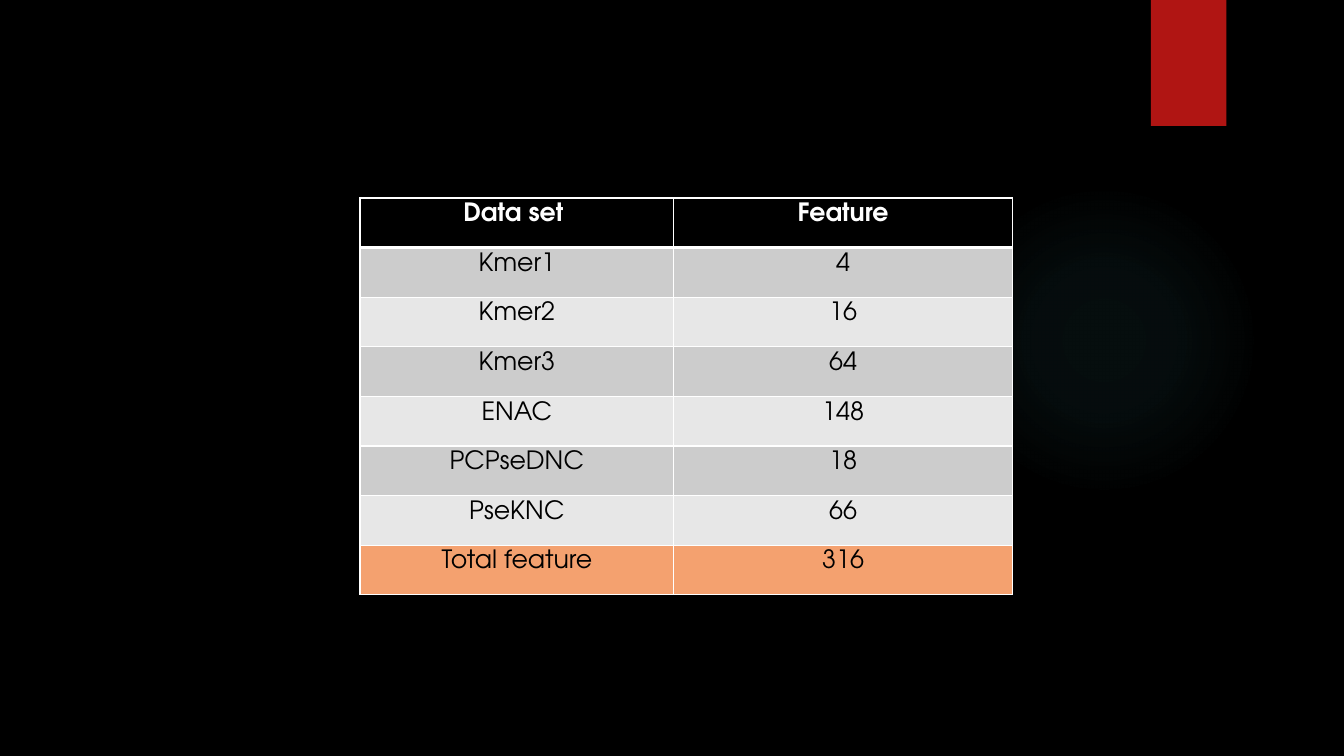
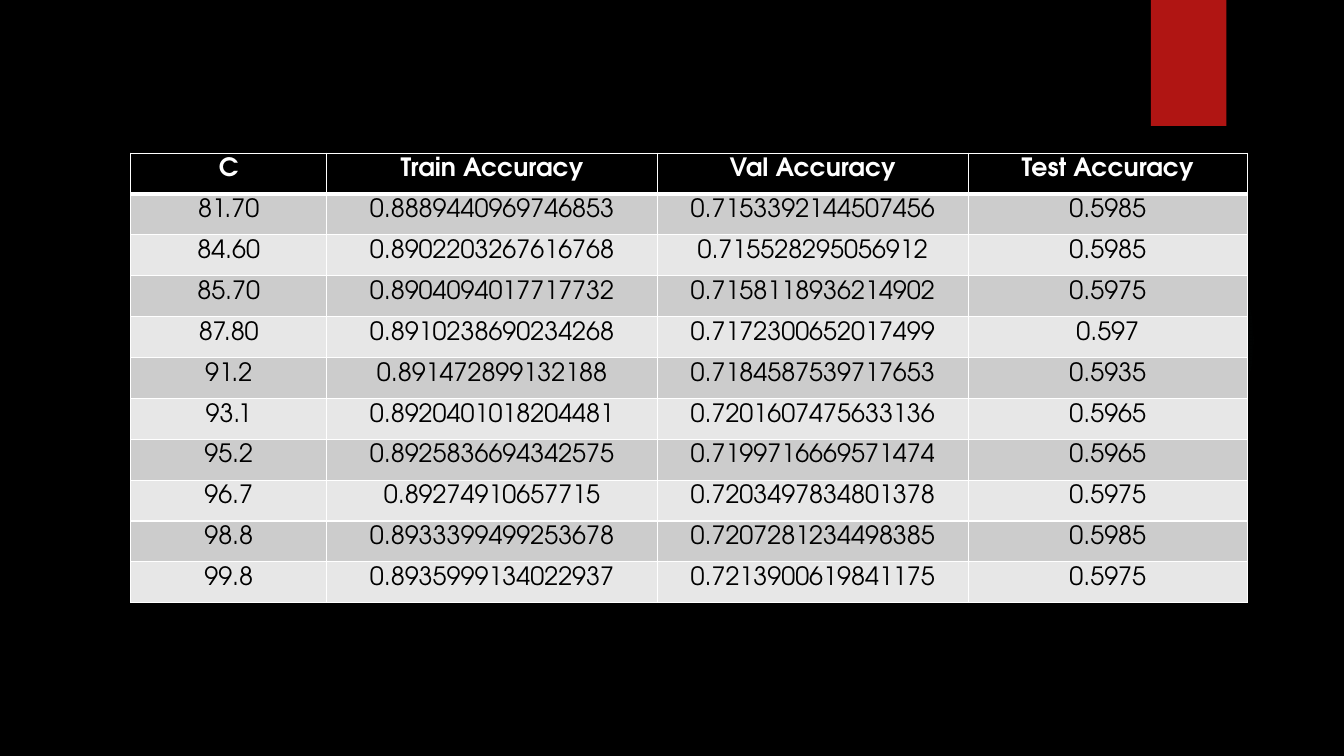
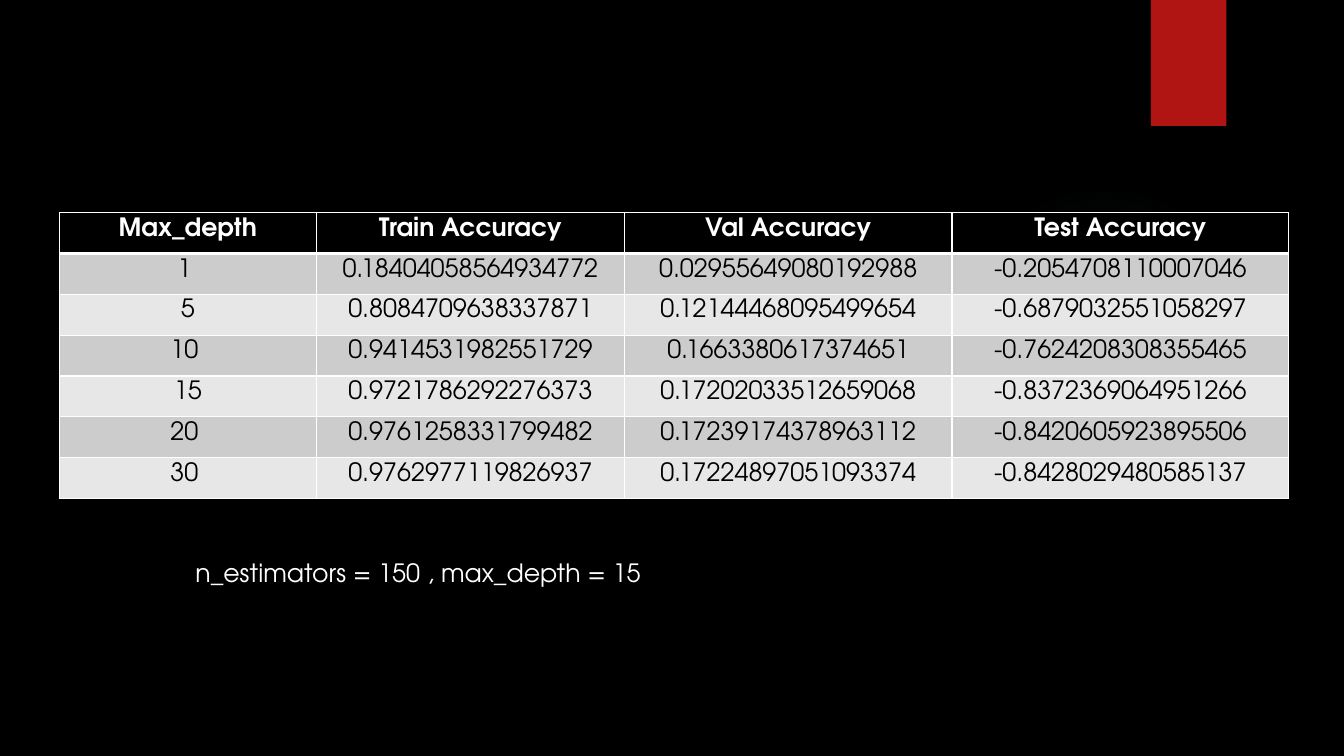
from lxml import etree
from pptx import Presentation
from pptx.dml.color import RGBColor
from pptx.enum.shapes import MSO_SHAPE
from pptx.enum.text import PP_ALIGN
from pptx.oxml import parse_xml
from pptx.oxml.ns import nsdecls, qn
from pptx.util import Pt

RECTANGLE, OVAL = MSO_SHAPE.RECTANGLE, MSO_SHAPE.OVAL
CENTER = PP_ALIGN.CENTER

FONT, TEXT_SIZE = "TeX Gyre Adventor", 18
THIN, THICK = 1, 3
CELL_MARGIN = 3.6
COLORS = {
    "black": "000000",
    "white": "FFFFFF",
    "red": "B01513",
    "teal": "50B9C1",
    "dark_band": "CCCCCC",
    "light_band": "E7E7E7",
    "total": "F4A16F",
}
GLOW_STOPS = [(0, 7), (36, 6), (69, 0)]  # position and opacity, in percent

TABLES = [
    {
        "left": 257.2, "top": 141.4, "row_height": 35.46, "columns": [224, 242],
        "header": ["Data set ", "Feature"],
        "rows": [
            ("Kmer1", "4"),
            ("Kmer2", "16"),
            ("Kmer3", "64"),
            ("ENAC", "148"),
            ("PCPseDNC", "18"),
            ("PseKNC", "66"),
        ],
        "total": ("Total feature", "316"),
    },
    {
        "left": 93.4, "top": 109.4, "row_height": 29.2, "columns": [140, 236.2, 222, 199.5],
        "header": ["C", "Train Accuracy", "Val Accuracy", "Test Accuracy"],
        "rows": [
            ("81.70", "0.8889440969746853", "0.7153392144507456", "0.5985"),
            ("84.60", "0.8902203267616768", "0.715528295056912", "0.5985"),
            ("85.70", "0.8904094017717732", "0.7158118936214902", "0.5975"),
            ("87.80", "0.8910238690234268", "0.7172300652017499", "0.597"),
            ("91.2", "0.891472899132188", "0.7184587539717653", "0.5935"),
            ("93.1", "0.8920401018204481", "0.7201607475633136", "0.5965"),
            ("95.2", "0.8925836694342575", "0.7199716669571474", "0.5965"),
            ("96.7", "0.89274910657715", "0.7203497834801378", "0.5975"),
            ("98.8", "0.8933399499253678", "0.7207281234498385", "0.5985"),
            ("99.8", "0.8935999134022937", "0.7213900619841175", "0.5975"),
        ],
    },
    {
        "left": 42.4, "top": 151.8, "row_height": 29.2, "columns": [183.6, 220, 234, 240.5],
        "header": ["Max_depth", "Train Accuracy", "Val Accuracy", "Test Accuracy"],
        "rows": [
            ("1 ", "0.18404058564934772", "0.02955649080192988", "-0.2054708110007046"),
            ("5", "0.8084709638337871", "0.12144468095499654", "-0.6879032551058297"),
            ("10 ", "0.9414531982551729", "0.1663380617374651", "-0.7624208308355465"),
            ("15", "0.9721786292276373", "0.17202033512659068", "-0.8372369064951266"),
            ("20 ", "0.9761258331799482", "0.17239174378963112", "-0.8420605923895506"),
            ("30 ", "0.9762977119826937", "0.17224897051093374", "-0.8428029480585137"),
        ],
        "note": "n_estimators = 150 , max_depth = 15",
    },
]


def paint(fill, color):
    fill.solid()
    fill.fore_color.rgb = RGBColor.from_string(COLORS[color])


def style_text(paragraph, color, bold=False):
    for span in paragraph.runs:
        span.font.name = FONT
        span.font.size = Pt(TEXT_SIZE)
        span.font.bold = bold
        span.font.color.rgb = RGBColor.from_string(COLORS[color])


def add_plain_shape(page, kind, left, top, width, height):
    shape = page.shapes.add_shape(kind, Pt(left), Pt(top), Pt(width), Pt(height))
    shape.shadow.inherit = False
    shape.line.fill.background()
    return shape


def add_glow(page):
    glow = add_plain_shape(page, OVAL, 677.5, 131.8, 221.8, 221.8)
    stops = "".join(
        f'<a:gs pos="{position * 1000}"><a:srgbClr val="{COLORS["teal"]}">'
        f'<a:alpha val="{opacity * 1000}"/></a:srgbClr></a:gs>'
        for position, opacity in GLOW_STOPS
    )
    gradient = parse_xml(
        f'<a:gradFill {nsdecls("a")}><a:gsLst>{stops}</a:gsLst><a:path path="circle">'
        '<a:fillToRect l="50000" t="50000" r="50000" b="50000"/></a:path></a:gradFill>'
    )
    glow.element.spPr.find(qn("a:prstGeom")).addnext(gradient)


def add_ribbon(page):
    ribbon = add_plain_shape(page, RECTANGLE, 822, 0, 54, 90)
    paint(ribbon.fill, "red")
    effects = ribbon.element.spPr.find(qn("a:effectLst"))
    shadow = etree.SubElement(
        effects, qn("a:outerShdw"),
        blurRad=str(Pt(3)), dist=str(Pt(2)), dir=str(90 * 60000), rotWithShape="0",
    )
    color = etree.SubElement(shadow, qn("a:srgbClr"), val=COLORS["black"])
    etree.SubElement(color, qn("a:alpha"), val="45000")


def add_borders(cell, top, bottom):
    properties = cell._tc.get_or_add_tcPr()
    for index, (side, width) in enumerate(zip("LRTB", (THIN, THIN, top, bottom))):
        properties.insert(index, parse_xml(
            f'<a:ln{side} {nsdecls("a")} w="{Pt(width)}"><a:solidFill>'
            f'<a:srgbClr val="{COLORS["white"]}"/></a:solidFill></a:ln{side}>'
        ))


def add_data_table(page, data):
    rows = [(data["header"], "black")]
    for index, values in enumerate(data["rows"]):
        rows.append((values, "light_band" if index % 2 else "dark_band"))
    if "total" in data:
        rows.append((data["total"], "total"))

    widths = data["columns"]
    frame = page.shapes.add_table(
        len(rows), len(widths), Pt(data["left"]), Pt(data["top"]),
        Pt(sum(widths)), Pt(data["row_height"] * len(rows)),
    )
    table = frame.table
    table.first_row = table.horz_banding = False
    for column, width in zip(table.columns, widths):
        column.width = Pt(width)
    for row_index, (values, fill_color) in enumerate(rows):
        table.rows[row_index].height = Pt(data["row_height"])
        is_header = row_index == 0
        for column_index, value in enumerate(values):
            cell = table.cell(row_index, column_index)
            cell.margin_top = cell.margin_bottom = Pt(CELL_MARGIN)
            cell.text_frame.text = value
            para = cell.text_frame.paragraphs[0]
            para.alignment = CENTER
            style_text(para, "white" if is_header else "black", bold=is_header)
            paint(cell.fill, fill_color)
            add_borders(cell, THICK if row_index == 1 else THIN, THICK if is_header else THIN)


def add_note(page, text):
    box = page.shapes.add_textbox(Pt(132.5), Pt(394.6), Pt(722), Pt(29))
    box.text_frame.word_wrap = True
    box.text_frame.text = text
    style_text(box.text_frame.paragraphs[0], "white")


def main():
    deck = Presentation()
    deck.slide_width, deck.slide_height = Pt(960), Pt(540)
    paint(deck.slide_master.background.fill, "black")
    blank = deck.slide_layouts[6]
    for data in TABLES:
        page = deck.slides.add_slide(blank)
        add_glow(page)
        add_ribbon(page)
        add_data_table(page, data)
        if "note" in data:
            add_note(page, data["note"])
    deck.save("out.pptx")


if __name__ == "__main__":
    main()
